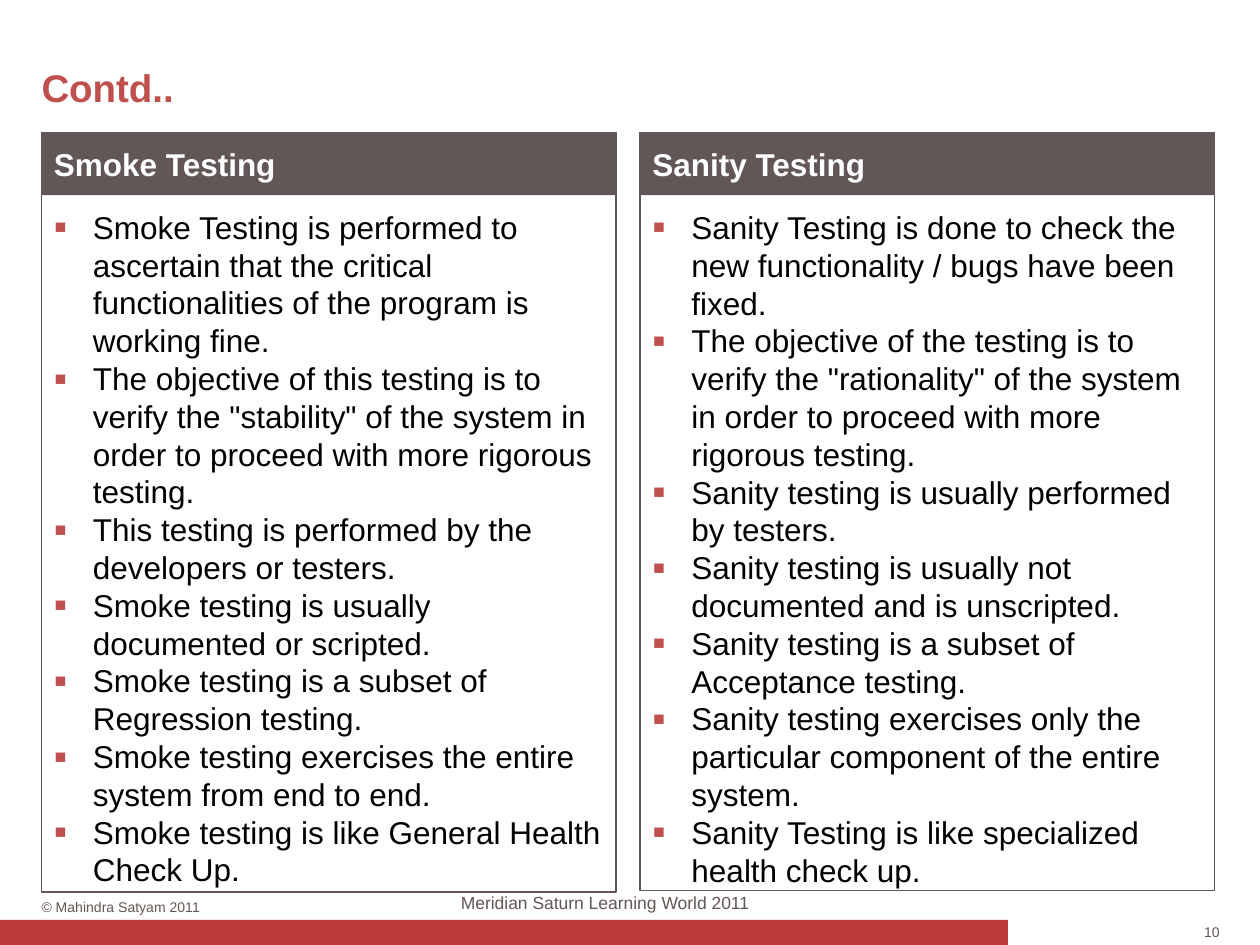
from lxml import etree
from pptx import Presentation
from pptx import util as u
from pptx.dml.color import RGBColor
from pptx.enum import shapes, text
from pptx.oxml.ns import qn

RED = RGBColor(0xBE, 0x3A, 0x3A)
ACCENT = RGBColor(0xC0, 0x50, 0x4D)
BROWN = RGBColor(0x62, 0x57, 0x56)
GREY = RGBColor(0x62, 0x57, 0x53)
BLACK = RGBColor(0, 0, 0)
WHITE = RGBColor(255, 255, 255)

deck = Presentation()
deck.slide_width, deck.slide_height = u.Inches(10), u.Inches(7.5)
slide = deck.slides.add_slide(deck.slide_layouts[6])


def add_box(left, top, width, height, fill=None, line=None):
    box = slide.shapes.add_shape(
        shapes.MSO_SHAPE.RECTANGLE, *map(u.Inches, (left, top, width, height)))
    box.shadow.inherit = False
    if fill is None:
        box.fill.background()
    else:
        box.fill.solid()
        box.fill.fore_color.rgb = fill
    if line is None:
        box.line.fill.background()
    else:
        box.line.color.rgb = line
        box.line.width = u.Pt(0.75)
    return box


def write(box, lines, size, color, insets=(0, 0, 0, 0), bold=False,
          align=text.PP_ALIGN.LEFT, spacing=1.2, bullet=False):
    frame = box.text_frame
    frame.word_wrap = True
    frame.vertical_anchor = text.MSO_ANCHOR.TOP
    (frame.margin_left, frame.margin_top,
     frame.margin_right, frame.margin_bottom) = map(u.Inches, insets)
    frame.text = "\n".join(lines)
    for paragraph in frame.paragraphs:
        paragraph.alignment = align
        if spacing:
            paragraph.line_spacing = u.Pt(size * spacing)
        if bullet:
            props = paragraph._p.get_or_add_pPr()
            props.set("marL", str(u.Inches(0.31)))
            props.set("indent", str(u.Inches(-0.31)))
            tint = etree.SubElement(props, qn("a:buClr"))
            etree.SubElement(tint, qn("a:srgbClr"), val=str(ACCENT))
            etree.SubElement(props, qn("a:buSzPct"), val="120000")
            etree.SubElement(props, qn("a:buFont"), typeface="Arial")
            etree.SubElement(props, qn("a:buChar"), char="▪")
        for run in paragraph.runs:
            run.font.name = "Arial"
            run.font.size = u.Pt(size)
            run.font.bold = bold
            run.font.color.rgb = color


add_box(0, 7.3, 8, 0.2, fill=RED)

small_texts = [
    ("10", (9.54, 7.33, 0.14, 0.13), 8, GREY, False, text.PP_ALIGN.RIGHT, None),
    ("© Mahindra Satyam 2011", (0.33, 7.13, 1.54, 0.13), 8, GREY, False,
     text.PP_ALIGN.LEFT, None),
    ("Meridian Saturn Learning World 2011", (2.64, 7.08, 4.32, 0.17), 10, GREY,
     False, text.PP_ALIGN.CENTER, 1.2),
    ("Contd..", (0.33, 0.51, 9.34, 0.37), 22, ACCENT, True,
     text.PP_ALIGN.LEFT, 1.2),
]
for words, place, size, color, bold, align, spacing in small_texts:
    label = slide.shapes.add_textbox(*map(u.Inches, place))
    write(label, [words], size, color, bold=bold, align=align, spacing=spacing)

columns = [
    ("Smoke Testing", 0.33, 6.03, [
        "Smoke Testing is performed to ascertain that the critical "
        "functionalities of the program is working fine.",
        'The objective of this testing is to verify the "stability" of the '
        "system in order to proceed with more rigorous testing.",
        "This testing is performed by the developers or testers.",
        "Smoke testing is usually documented or scripted.",
        "Smoke testing is a subset of Regression testing.",
        "Smoke testing exercises the entire system from end to end.",
        "Smoke testing is like General Health Check Up.",
    ]),
    ("Sanity Testing", 5.08, 6.02, [
        "Sanity Testing is done to check the new functionality / bugs have "
        "been fixed.",
        'The objective of the testing is to verify the "rationality" of the '
        "system in order to proceed with more rigorous testing.",
        "Sanity testing is usually performed by testers.",
        "Sanity testing is usually not documented and is unscripted.",
        "Sanity testing is a subset of Acceptance testing.",
        "Sanity testing exercises only the particular component of the entire "
        "system.",
        "Sanity Testing is like specialized health check up.",
    ]),
]
for heading, left, height, points in columns:
    panel = add_box(left, 1.05, 4.56, height, line=BROWN)
    write(panel, points, 18, BLACK, insets=(0.1, 0.6, 0.1, 0.1), bullet=True)
    header = add_box(left, 1.05, 4.56, 0.5, fill=BROWN)
    write(header, [heading], 18, WHITE, insets=(0.1, 0.1, 0.1, 0.1), bold=True)

deck.save("out.pptx")
